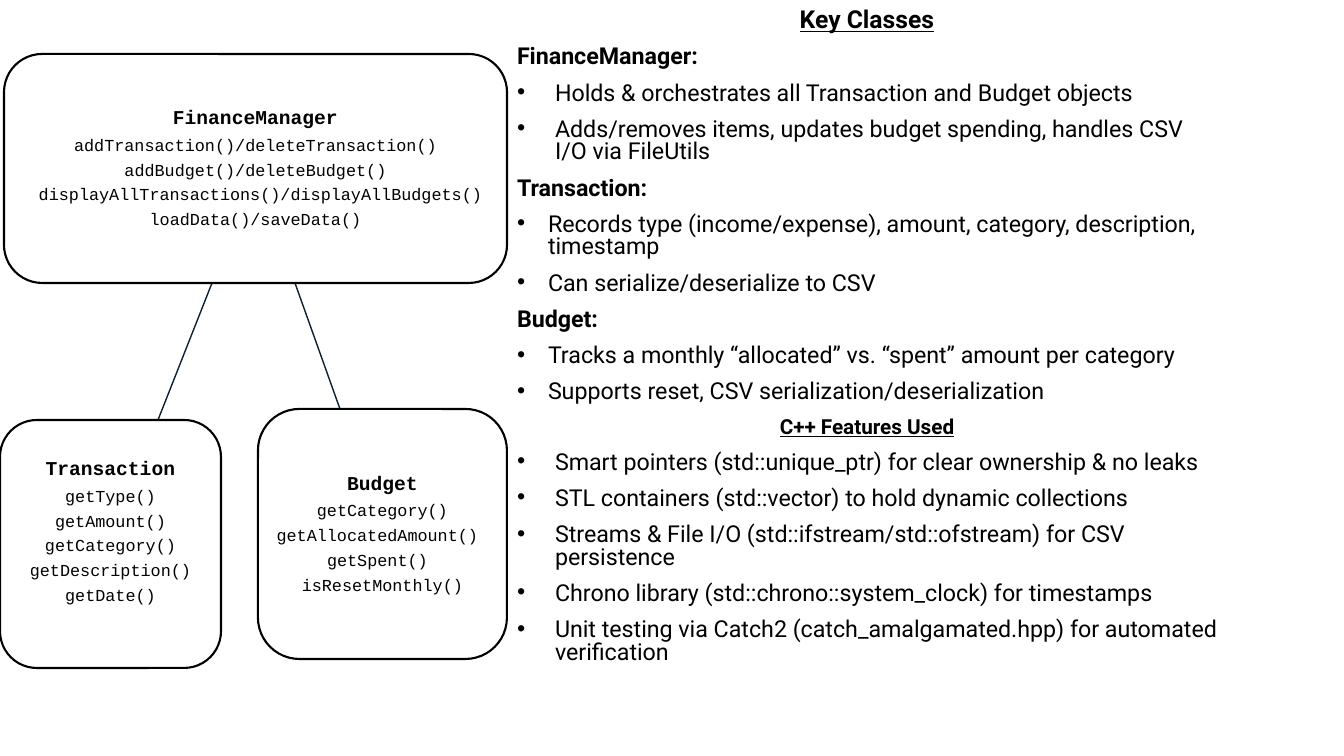
from dataclasses import dataclass

from lxml import etree
from pptx import Presentation
from pptx import util as u
from pptx.dml.color import RGBColor
from pptx.enum import shapes, text
from pptx.oxml.ns import qn

EMU_PER_PX = 914400 / 100.8


@dataclass(frozen=True)
class Theme:
    ink: RGBColor = RGBColor(0x00, 0x00, 0x00)
    paper: RGBColor = RGBColor(0xFF, 0xFF, 0xFF)
    link: RGBColor = RGBColor(0x0B, 0x20, 0x34)
    body_font: str = "Roboto"
    code_font: str = "Courier New"
    title_size: float = 17.6
    body_size: float = 16.6
    section_size: float = 14.8
    class_size: float = 14
    method_size: float = 12


def px(length):
    return u.Emu(round(length * EMU_PER_PX))


class SlideBuilder:
    def __init__(self, presentation, theme):
        self.theme = theme
        self.slide = presentation.slides.add_slide(presentation.slide_layouts[5])

    def place(self, shape, left, top, width, height):
        shape.left, shape.top = px(left), px(top)
        shape.width, shape.height = px(width), px(height)

    def frame(self, shape, anchor, inset_x, inset_y, bottom=None):
        """Set wrapping, anchor and insets; bottom overrides the lower inset."""
        frame = shape.text_frame
        frame.word_wrap = True
        frame.auto_size = text.MSO_AUTO_SIZE.NONE
        frame.vertical_anchor = anchor
        frame.margin_left = frame.margin_right = px(inset_x)
        frame.margin_top = px(inset_y)
        frame.margin_bottom = px(inset_y if bottom is None else bottom)
        return frame

    def paragraph(self, frame, words, size, font, spacing, centred=False,
                  bold=False, underline=False):
        """Fill the frame's empty first paragraph, or add one after the last."""
        paragraph = frame.paragraphs[-1]
        if paragraph.runs:
            paragraph = frame.add_paragraph()
        align = text.PP_ALIGN
        paragraph.alignment = align.CENTER if centred else align.LEFT
        paragraph.line_spacing = spacing
        paragraph.space_before = u.Pt(0)
        run = paragraph.add_run()
        run.text = words
        run.font.name = font
        run.font.size = u.Pt(size)
        run.font.bold = bold
        run.font.underline = underline
        run.font.color.rgb = self.theme.ink
        return paragraph

    def bullet(self, paragraph, indent):
        properties = paragraph._p.get_or_add_pPr()
        properties.set("marL", str(px(indent)))
        properties.set("indent", str(-px(indent)))
        etree.SubElement(properties, qn("a:buFont")).set("typeface", "Arial")
        etree.SubElement(properties, qn("a:buChar")).set("char", "•")

    def title(self, words, left, top, width, height):
        shape = self.slide.shapes.title
        self.place(shape, left, top, width, height)
        frame = self.frame(shape, text.MSO_ANCHOR.TOP, 10, 5)
        self.paragraph(frame, words, self.theme.title_size, self.theme.body_font,
                       0.8, centred=True, bold=True, underline=True)

    def bullet_column(self, sections, left, top, width, height):
        """Write sections of (heading, is_topic, indent, bullet texts)."""
        theme = self.theme
        shape = self.slide.shapes.add_textbox(px(left), px(top), px(width), px(height))
        frame = self.frame(shape, text.MSO_ANCHOR.TOP, 10, 5)
        for heading, is_topic, indent, items in sections:
            size = theme.section_size if is_topic else theme.body_size
            self.paragraph(frame, heading, size, theme.body_font, 0.8,
                           centred=is_topic, bold=True, underline=is_topic)
            for item in items:
                self.bullet(self.paragraph(frame, item, theme.body_size,
                                           theme.body_font, 0.8), indent)
        for paragraph in frame.paragraphs[1:]:
            paragraph.space_before = u.Pt(10)

    def class_box(self, name, methods, left, top, width, height, bottom=4):
        theme = self.theme
        shape = self.slide.shapes.add_shape(
            shapes.MSO_SHAPE.ROUNDED_RECTANGLE,
            px(left), px(top), px(width), px(height))
        shape.shadow.inherit = False
        shape.fill.solid()
        shape.fill.fore_color.rgb = theme.paper
        shape.line.color.rgb = theme.ink
        shape.line.width = u.Pt(1.5)
        frame = self.frame(shape, text.MSO_ANCHOR.MIDDLE, 4, 4, bottom)
        for row, words in enumerate([name, *methods]):
            size = theme.method_size if row else theme.class_size
            paragraph = self.paragraph(frame, words, size, theme.code_font, 0.9,
                                       centred=True, bold=row == 0)
            paragraph.space_after = u.Pt(0.4 * size)

    def link(self, x1, y1, x2, y2):
        line = self.slide.shapes.add_connector(
            shapes.MSO_CONNECTOR.STRAIGHT, px(x1), px(y1), px(x2), px(y2))
        line.line.color.rgb = self.theme.link
        line.line.width = u.Pt(1)
        etree.SubElement(line._element.spPr, qn("a:effectLst"))


SECTIONS = [
    ("FinanceManager:", False, 38, [
        "Holds & orchestrates all Transaction and Budget objects",
        "Adds/removes items, updates budget spending, handles CSV I/O via FileUtils",
    ]),
    ("Transaction:", False, 31, [
        "Records type (income/expense), amount, category, description, timestamp",
        "Can serialize/deserialize to CSV",
    ]),
    ("Budget:", False, 31, [
        "Tracks a monthly “allocated” vs. “spent” amount per category",
        "Supports reset, CSV serialization/deserialization",
    ]),
    ("C++ Features Used", True, 38, [
        "Smart pointers (std::unique_ptr) for clear ownership & no leaks",
        "STL containers (std::vector) to hold dynamic collections",
        "Streams & File I/O (std::ifstream/std::ofstream) for CSV persistence",
        "Chrono library (std::chrono::system_clock) for timestamps",
        "Unit testing via Catch2 (catch_amalgamated.hpp) for automated verification",
    ]),
]


def main():
    presentation = Presentation()
    presentation.slide_width = px(1344)
    presentation.slide_height = px(756)
    builder = SlideBuilder(presentation, Theme())

    builder.link(295, 283, 340, 409)
    builder.link(212, 283, 158, 420)
    builder.class_box("FinanceManager", [
        "addTransaction()/deleteTransaction()",
        "addBudget()/deleteBudget()",
        " displayAllTransactions()/displayAllBudgets()",
        "loadData()/saveData()",
    ], 4, 54, 503, 229)
    builder.class_box("Budget", [
        "getCategory()", "getAllocatedAmount() ", "getSpent() ", "isResetMonthly()",
    ], 258, 409, 249, 250)
    builder.class_box("Transaction", [
        "getType()", "getAmount()", "getCategory()", "getDescription()", "getDate()",
    ], 0, 420, 221, 248, bottom=28)

    builder.title("Key Classes", 507, 5, 720, 37)
    builder.bullet_column(SECTIONS, 507, 42, 720, 687)
    presentation.save("out.pptx")


if __name__ == "__main__":
    main()
